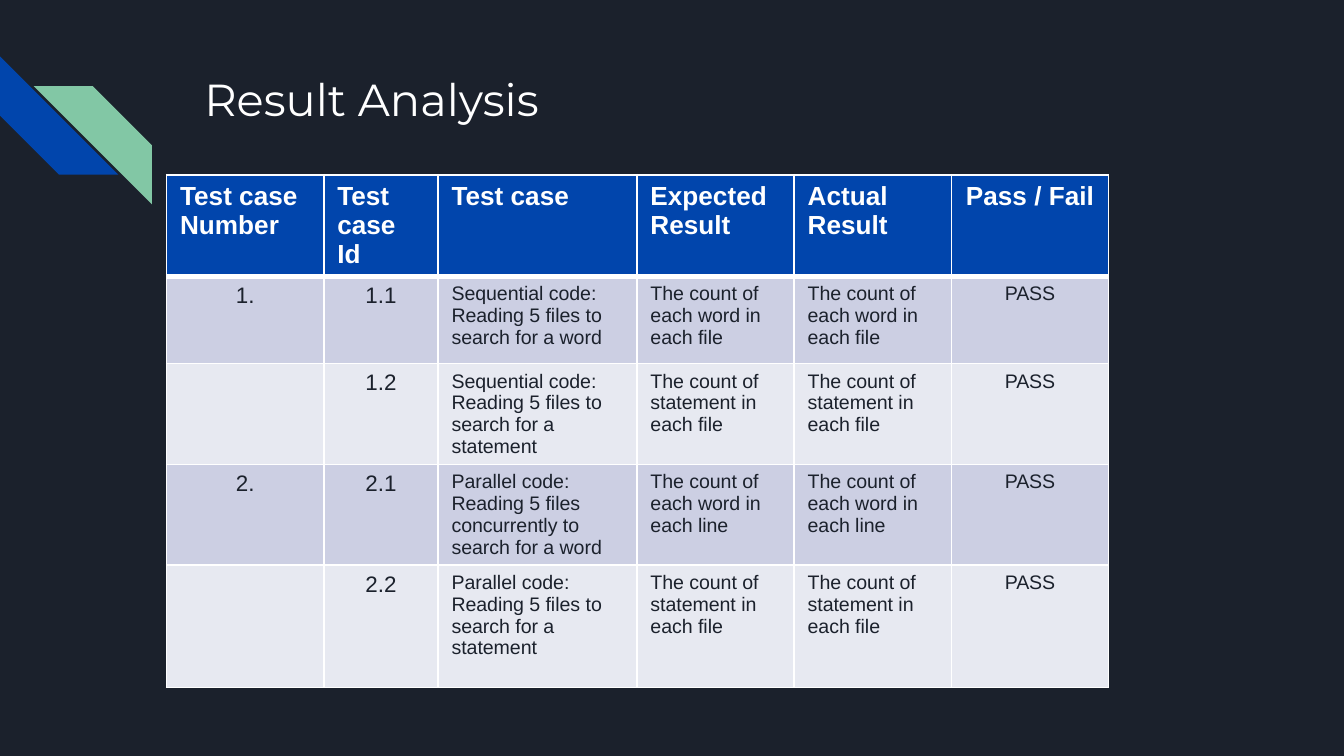
"""Build the result analysis slide with its table of test cases."""
from lxml.etree import SubElement
from pptx import Presentation
from pptx.dml.color import RGBColor
from pptx.enum.shapes import MSO_SHAPE
from pptx.enum.text import MSO_ANCHOR, PP_ALIGN
from pptx.oxml import parse_xml
from pptx.oxml.ns import nsdecls, qn
from pptx.util import Inches, Pt

DARK, BLUE, GREEN, WHITE = "1B212C", "0145AC", "82C7A5", "FFFFFF"
BANDS = ("CCCFE3", "E7E9F1")
TITLE = "Result Analysis"
HEADS = ("Test case Number", "Test case Id", "Test case",
         "Expected Result", "Actual Result", "Pass / Fail")
WORD = "The count of each word in each file"
LINE = "The count of each word in each line"
STATE = "The count of statement in each file"
CASES = (
    ("1.", "1.1", "Sequential code: Reading 5 files to search for a word", WORD),
    ("", "1.2", "Sequential code: Reading 5 files to search for a statement", STATE),
    ("2.", "2.1", "Parallel code: Reading 5 files concurrently to search for a word", LINE),
    ("", "2.2", "Parallel code:\nReading 5 files to\nsearch for a\nstatement", STATE),
)
WIDTHS = (1.17, 0.85, 1.48, 1.17, 1.17, 1.17)
HEIGHTS = (0.75, 0.65, 0.75, 0.75, 0.91)
STRIPES = ((0, 0.42, BLUE, 270, False), (0.25, 0.64, GREEN, 0, True))


def paint(fill, color):
    fill.solid()
    fill.fore_color.rgb = RGBColor.from_string(color)


def write(frame, text, size, color=DARK, font="Arial", bold=False, center=False):
    for i, line in enumerate(text.split("\n")):
        para = frame.add_paragraph() if i else frame.paragraphs[0]
        para.alignment = PP_ALIGN.CENTER if center else PP_ALIGN.LEFT
        run = para.add_run()
        run.text = line
        run.font.name, run.font.size, run.font.bold = font, Pt(size), bold
        run.font.color.rgb = RGBColor.from_string(color)


def edge(cell, **sides):
    props = cell._tc.get_or_add_tcPr()
    for i, (side, width) in enumerate(sides.items()):
        line = parse_xml(f'<a:ln{side} {nsdecls("a")} w="{Pt(width)}"/>')
        fill = SubElement(line, qn("a:solidFill"))
        SubElement(fill, qn("a:srgbClr"), val=WHITE)
        props.insert(i, line)


def stripe(slide, left, top, color, turn, flip):
    shape = slide.shapes.add_shape(MSO_SHAPE.DIAGONAL_STRIPE, Inches(left),
                                   Inches(top), Inches(0.88), Inches(0.88))
    shape.adjustments[0] = 0.5
    shape.shadow.inherit = False
    shape.rotation = turn
    paint(shape.fill, color)
    shape.line.fill.background()
    if flip:
        shape._element.spPr.find(qn("a:xfrm")).set("flipH", "1")


def head(slide):
    title = slide.shapes.title
    title.left, title.top = Inches(1.42), Inches(0.43)
    title.width, title.height = Inches(7.7), Inches(1)
    frame = title.text_frame
    frame.vertical_anchor = MSO_ANCHOR.TOP
    frame.margin_left = frame.margin_right = Inches(0.1)
    frame.margin_top = frame.margin_bottom = Inches(0.1)
    write(frame, TITLE, 24, color=WHITE, font="Montserrat")


def grid(slide):
    rows = [HEADS] + [(*case, case[-1], "PASS") for case in CASES]
    table = slide.shapes.add_table(
        len(rows), len(WIDTHS), Inches(1.24), Inches(1.3),
        Inches(sum(WIDTHS)), Inches(sum(HEIGHTS))).table
    for col, width in zip(table.columns, WIDTHS):
        col.width = Inches(width)
    for r, (row, height) in enumerate(zip(rows, HEIGHTS)):
        table.rows[r].height = Inches(height)
        for c, text in enumerate(row):
            cell = table.cell(r, c)
            paint(cell.fill, BANDS[(r - 1) % 2] if r else BLUE)
            edge(cell, L=1, R=1, T=3 if r == 1 else 1, B=1 if r else 3)
            if not r:
                write(cell.text_frame, text, 14, color=WHITE, bold=True, center=c == 5)
            elif text:
                write(cell.text_frame, text, 12 if c < 2 else 10.5, center=c in (0, 1, 5))


def main():
    deck = Presentation()
    deck.slide_width = Inches(10)
    deck.slide_height = deck.slide_width * 9 // 16
    slide = deck.slides.add_slide(deck.slide_layouts[5])
    paint(slide.background.fill, DARK)
    for item in STRIPES:
        stripe(slide, *item)
    head(slide)
    grid(slide)
    deck.save("out.pptx")


if __name__ == "__main__":
    main()
